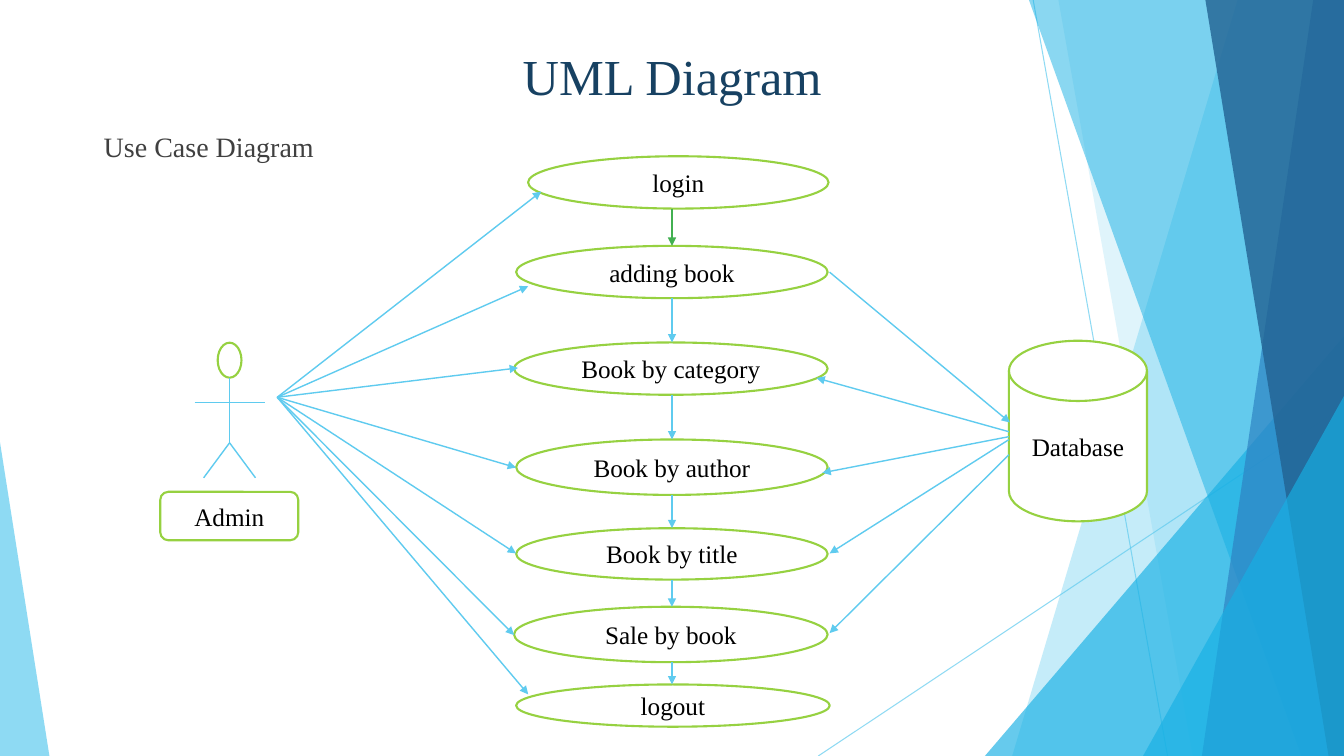
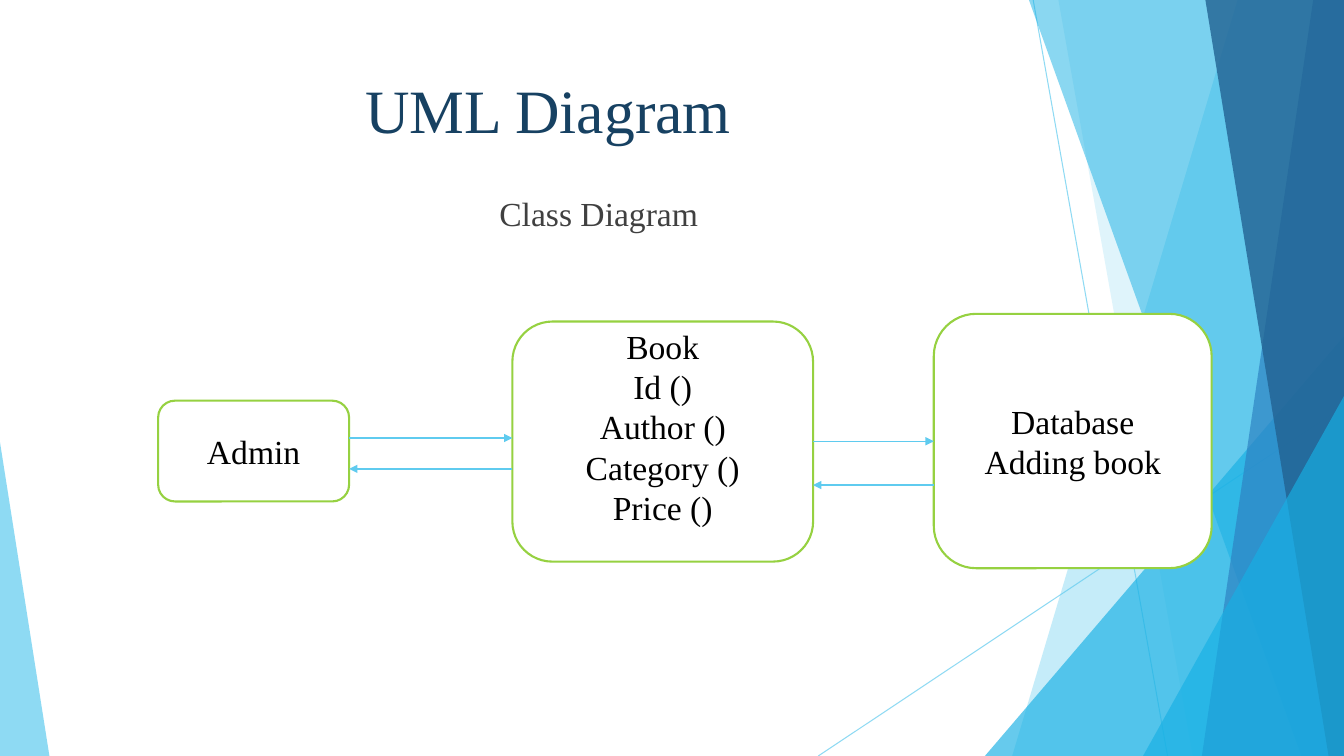
from itertools import pairwise

from lxml.etree import SubElement
from pptx import Presentation
from pptx.dml.color import RGBColor
from pptx.enum.shapes import MSO_CONNECTOR, MSO_SHAPE
from pptx.enum.text import MSO_ANCHOR, PP_ALIGN
from pptx.oxml.ns import qn
from pptx.util import Pt

WIDTH, HEIGHT = 960, 540
FONT = "Times New Roman"
SKY, CYAN, BLUE, NAVY = "5FCBEF", "17B0E4", "2E83C3", "226292"
GREEN, LIME, WHITE, BLACK = "42B051", "96D141", "FFFFFF", "000000"
TITLE_COLOR, BODY_COLOR = "174162", "404040"


# Shared helpers
def color(hex_code):
    return RGBColor.from_string(hex_code)


def set_opacity(shape, percent):
    for rgb in shape._element.iter(qn("a:srgbClr")):
        SubElement(rgb, qn("a:alpha")).set("val", str(percent * 1000))


def add_line(slide, start, end, hue=SKY, weight=1, arrow=True):
    ends = [Pt(value) for value in (*start, *end)]
    line = slide.shapes.add_connector(MSO_CONNECTOR.STRAIGHT, *ends)
    line.line.color.rgb = color(hue)
    line.line.width = Pt(weight)
    properties = line._element.spPr
    if arrow:
        SubElement(properties.find(qn("a:ln")), qn("a:tailEnd")).set("type", "triangle")
    SubElement(properties, qn("a:effectLst"))
    return line


def write(frame, lines, size, hue, align):
    frame.word_wrap = True
    for index, line in enumerate(lines):
        paragraph = frame.paragraphs[0] if index == 0 else frame.add_paragraph()
        paragraph.alignment = align
        run = paragraph.add_run()
        run.text = line
        run.font.name = FONT
        run.font.size = Pt(size)
        run.font.color.rgb = color(hue)


def add_node(slide, kind, box, lines=(), size=18):
    node = slide.shapes.add_shape(kind, *map(Pt, box))
    node.shadow.inherit = False
    node.fill.solid()
    node.fill.fore_color.rgb = color(WHITE)
    node.line.color.rgb = color(LIME)
    node.line.width = Pt(1.5)
    node.text_frame.vertical_anchor = MSO_ANCHOR.MIDDLE
    write(node.text_frame, lines, size, BLACK, PP_ALIGN.CENTER)
    return node


def add_text(slide, box, text, size, hue, align):
    frame = slide.shapes.add_textbox(*map(Pt, box)).text_frame
    frame.vertical_anchor = MSO_ANCHOR.TOP
    write(frame, [text], size, hue, align)


# Shared backdrop of translucent facets
def paint_facet(facet, hue, opacity):
    facet.shadow.inherit = False
    facet.fill.solid()
    facet.fill.fore_color.rgb = color(hue)
    facet.line.fill.background()
    set_opacity(facet, opacity)


def add_band(slide, top_left, bottom_left, hue, opacity):
    """A band that runs from a slanted left side to the right slide edge."""
    builder = slide.shapes.build_freeform(Pt(top_left), 0)
    corners = [(WIDTH, 0), (WIDTH, HEIGHT), (bottom_left, HEIGHT)]
    builder.add_line_segments([(Pt(x), Pt(y)) for x, y in corners], close=True)
    paint_facet(builder.convert_to_shape(), hue, opacity)


def add_wedge(slide, left, top, right, apex, hue, opacity):
    """A triangle that stands on the bottom slide edge."""
    box = (left, top, right - left, HEIGHT - top)
    wedge = slide.shapes.add_shape(MSO_SHAPE.ISOSCELES_TRIANGLE, *map(Pt, box))
    wedge.adjustments[0] = apex
    paint_facet(wedge, hue, opacity)


def add_backdrop(slide):
    for start, end in [((738, 0), (834, HEIGHT)), ((WIDTH, 290), (584.5, HEIGHT))]:
        set_opacity(add_line(slide, start, end, weight=0.75, arrow=False), 70)
    add_band(slide, 884, 723, SKY, 36)
    add_band(slide, 756, 852, SKY, 20)
    add_wedge(slide, 703.5, 240, WIDTH, 1, CYAN, 66)
    add_band(slide, 735, 929.5, CYAN, 50)
    add_band(slide, 938, 858.5, BLUE, 70)
    add_band(slide, 861, 949, NAVY, 80)
    add_wedge(slide, 816.5, 283, WIDTH, 1, CYAN, 66)
    add_wedge(slide, 0, 316, 35.3, 0, SKY, 70)


def add_heading(slide, title_box, title_size, body_box, caption, body_size, align):
    add_text(slide, title_box, "UML Diagram", title_size, TITLE_COLOR, PP_ALIGN.CENTER)
    add_text(slide, body_box, caption, body_size, BODY_COLOR, align)


# Use case slide
def add_actor(slide, left, top):
    """Stick figure above its name plate."""
    middle, hips = left + 49.5, top + 71.5
    add_node(slide, MSO_SHAPE.OVAL, (middle - 8.5, top, 17, 25))
    limbs = [
        ((middle, top + 25), (middle, hips)),
        ((middle - 25, top + 42.5), (middle + 25, top + 42.5)),
        ((middle - 18.5, top + 96.5), (middle, hips)),
        ((middle + 18.5, top + 96.5), (middle, hips)),
    ]
    for start, end in limbs:
        add_line(slide, start, end, arrow=False)
    add_node(slide, MSO_SHAPE.ROUNDED_RECTANGLE, (left, top + 106.5, 98.6, 34.6), ["Admin"])


def add_use_cases(slide, left, top):
    """Column of use cases, each leading to the next."""
    # name, indent, offset from top, width, height
    cases = [
        ("login", 10, 0, 214.6, 37.4),
        ("adding book", 1.5, 64, 222.5, 37.4),
        ("Book by category", 0, 133, 224, 37.4),
        ("Book by author", 1.5, 202.3, 222.5, 39.6),
        ("Book by title", 1.5, 265.7, 222.5, 36.7),
        ("Sale by book", 0, 321.8, 224, 39.6),
        ("logout", 1.5, 377.3, 224, 30.2),
    ]
    for name, indent, offset, width, height in cases:
        box = (left + indent, top + offset, width, height)
        add_node(slide, MSO_SHAPE.OVAL, box, [name])
    for step, (upper, lower) in enumerate(pairwise(cases)):
        start = (left + 112.8, top + upper[2] + upper[4])
        end = (left + 112.8, top + lower[2])
        add_line(slide, start, end, GREEN if step == 0 else SKY)


def add_admin_links(slide, hub):
    targets = [(386.6, 136.8), (377.3, 204.5), (370, 262.8), (368.6, 334),
               (368.6, 395.3), (367.2, 453.6), (377.3, 496)]
    for target in targets:
        add_line(slide, hub, target)


def add_database(slide, left, top):
    """Store on the right with its links to the use cases."""
    box = (left, top, 98.6, 129)
    add_node(slide, MSO_SHAPE.FLOWCHART_MAGNETIC_DISK, box, ["Database"])
    add_line(slide, (592.6, 194.4), (left + 0.7, top + 58.4))
    # offset of the start on the disk, target
    answers = [(65, (583.2, 270)), (68.5, (587.5, 337.7)),
               (70.6, (592.6, 395.3)), (81.4, (592.6, 452.2))]
    for offset, target in answers:
        add_line(slide, (left, top + offset), target)


def build_use_case_slide(slide):
    add_backdrop(slide)
    add_heading(slide, (66.2, 28.8, 828, 51), 36,
                (67, 89.3, 828, 450), "Use Case Diagram", 20, PP_ALIGN.LEFT)
    add_use_cases(slide, 367.2, 111.6)
    add_actor(slide, 114.5, 244.8)
    add_database(slide, 720.7, 243.4)
    add_admin_links(slide, (198, 283.8))


# Class slide
def add_exchange(slide, left, right, there, back):
    """Pair of arrows between two neighbouring classes."""
    add_line(slide, (left, there), (right, there))
    add_line(slide, (right, back), (left, back))


def add_classes(slide, left, top):
    admin = (left, top + 62, 136.4, 72)
    book = (left + 253, top + 5.5, 214.8, 171.5)
    database = (left + 554, top, 198.5, 181.7)
    members = ["Book", "Id ()", "Author ()", "Category ()", "Price ()"]
    kind = MSO_SHAPE.ROUNDED_RECTANGLE
    add_node(slide, kind, admin, ["Admin"], 24)
    book_node = add_node(slide, kind, book, members, 24)
    book_node.text_frame.margin_bottom = Pt(25.2)
    add_node(slide, kind, database, ["Database", "Adding book"], 24)
    add_exchange(slide, admin[0] + admin[2], book[0], top + 88.7, top + 110.7)
    add_exchange(slide, book[0] + book[2], database[0], top + 91, top + 122.3)


def build_class_slide(slide):
    add_backdrop(slide)
    add_heading(slide, (53.3, 48.2, 676.8, 103.7), 44,
                (89.3, 134, 676.8, 305.3), "Class Diagram", 24, PP_ALIGN.CENTER)
    add_classes(slide, 113, 224.2)


def main():
    deck = Presentation()
    deck.slide_width, deck.slide_height = Pt(WIDTH), Pt(HEIGHT)
    blank = deck.slide_layouts[6]
    for build in (build_use_case_slide, build_class_slide):
        build(deck.slides.add_slide(blank))
    deck.save("out.pptx")


if __name__ == "__main__":
    main()
